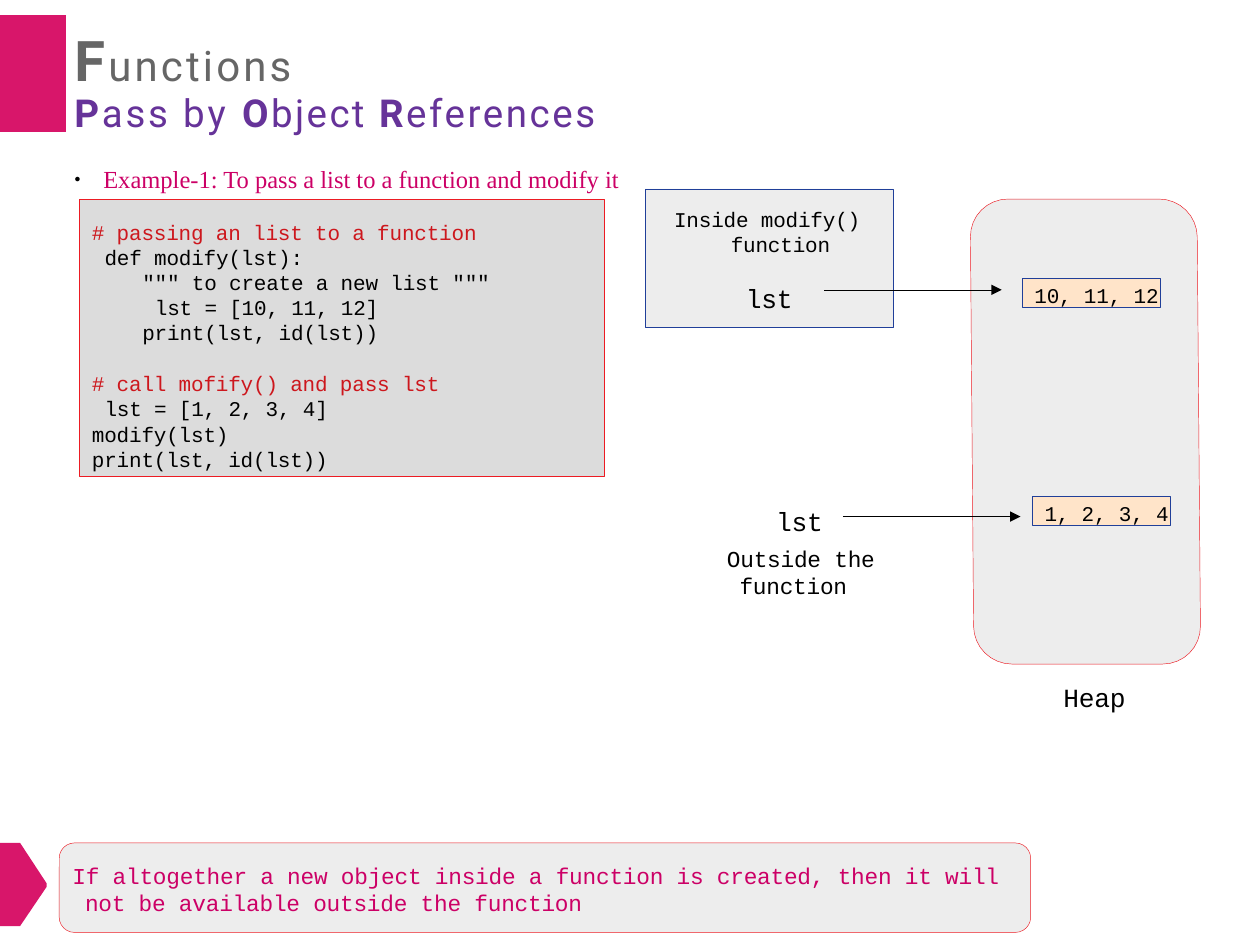
from dataclasses import dataclass
from math import cos, pi, sin

from lxml.etree import SubElement
from pptx import Presentation
from pptx.dml.color import RGBColor
from pptx.enum.shapes import MSO_CONNECTOR, MSO_SHAPE
from pptx.enum.text import MSO_ANCHOR, MSO_AUTO_SIZE, PP_ALIGN
from pptx.oxml.ns import qn
from pptx.util import Inches, Pt


@dataclass(frozen=True)
class Theme:
    """Colours, fonts and type sizes of the slide."""
    accent: str = "D8166A"
    heading: str = "666666"
    topic: str = "663399"
    emphasis: str = "CC0066"
    comment: str = "CD171D"
    ink: str = "000000"
    code_fill: str = "DCDCDC"
    panel: str = "EDEDED"
    value_fill: str = "FFE4C9"
    red: str = "EC1B23"
    blue: str = "203F99"
    display: str = "Roboto"
    serif: str = "Times New Roman"
    mono: str = "Courier New"
    initial_size: float = 32
    heading_size: float = 24
    topic_size: float = 22
    example_size: float = 14
    code_size: float = 12
    note_size: float = 13
    name_size: float = 15
    hairline: float = 0.25


THEME = Theme()


def paint(shape, fill, line=None):
    """Give a shape its fill and hairline, without shadow."""
    shape.shadow.inherit = False
    shape.fill.solid()
    shape.fill.fore_color.rgb = RGBColor.from_string(fill)
    if line:
        shape.line.color.rgb = RGBColor.from_string(line)
        shape.line.width = Pt(THEME.hairline)
    else:
        shape.line.fill.background()
    return shape


def panel(slide, kind, box, fill, line):
    """Add a painted preset shape in a box."""
    return paint(slide.shapes.add_shape(kind, *map(Inches, box)), fill, line)


def outline(slide, points, fill, line=None):
    """Add a closed painted freeform through points in inches."""
    corners = [(Inches(x), Inches(y)) for x, y in points]
    builder = slide.shapes.build_freeform(*corners[0])
    builder.add_line_segments(corners[1:])
    return paint(builder.convert_to_shape(), fill, line)


def prepare(shape, left=0, top=0.02, anchor=MSO_ANCHOR.TOP):
    """Set the insets and wrapping of a shape and return its text frame."""
    frame = shape.text_frame
    frame.word_wrap = True
    frame.auto_size = MSO_AUTO_SIZE.NONE
    frame.vertical_anchor = anchor
    frame.margin_left, frame.margin_top = Inches(left), Inches(top)
    frame.margin_right = frame.margin_bottom = 0
    return frame


def style(paragraph, font, size, color, indent=0):
    """Set the left alignment, indent and common font of a paragraph."""
    paragraph.alignment = PP_ALIGN.LEFT
    paragraph._p.get_or_add_pPr().set("marL", str(Inches(indent)))
    paragraph.font.name = font
    paragraph.font.size = Pt(size)
    paragraph.font.color.rgb = RGBColor.from_string(color)


def add_run(paragraph, text, tracking=0.0):
    """Append a run with letter spacing in points."""
    run = paragraph.add_run()
    run.text = text
    run._r.get_or_add_rPr().set("spc", str(round(tracking * 100)))
    return run


def write_mono(frame, lines, size, color=THEME.ink):
    """Write (text, indent) lines in the code font."""
    for number, (text, indent) in enumerate(lines):
        paragraph = frame.add_paragraph() if number else frame.paragraphs[0]
        style(paragraph, THEME.mono, size, color, indent)
        add_run(paragraph, text, -0.1)


def add_label(slide, box, lines, size):
    """Add a text box with lines in the code font."""
    label = slide.shapes.add_textbox(*map(Inches, box))
    write_mono(prepare(label), lines, size)


def write_initials(paragraph, parts, initial_size=None):
    """Write (text, tracking) parts with single capitals in bold."""
    for text, tracking in parts:
        run = add_run(paragraph, text, tracking)
        run.font.bold = len(text) == 1
        if initial_size and len(text) == 1:
            run.font.size = Pt(initial_size)


def add_header(slide, left, top):
    """Place the title, the topic and the accent block beside them."""
    block_right, block_bottom = left + 0.52, top + 0.93
    outline(slide, [(left, top), (block_right, top), (block_right, block_bottom),
                    (left, block_bottom)], THEME.accent)
    title = slide.shapes.title
    title.left, title.top = Inches(left + 0.59), Inches(top + 0.06)
    title.width, title.height = Inches(4), Inches(0.56)
    heading = prepare(title).paragraphs[0]
    style(heading, THEME.display, THEME.heading_size, THEME.heading)
    write_initials(heading, [("F", 1.8), ("unctions", 1.8)], THEME.initial_size)
    topic = slide.shapes.add_textbox(
        Inches(left + 0.59), Inches(top + 0.57), Inches(4.4), Inches(0.39))
    subject = prepare(topic).paragraphs[0]
    style(subject, THEME.display, THEME.topic_size, THEME.topic)
    write_initials(subject, [("P", 1.6), ("ass ", 1.6), ("by ", 1.9), ("O", 1.4),
                             ("bject ", 1.4), ("R", 1.5), ("eferences", 1.5)])


def add_example(slide, left, top, width):
    """Place the bulleted example heading."""
    example = slide.shapes.add_textbox(*map(Inches, (left, top, width, 0.26)))
    paragraph = prepare(example).paragraphs[0]
    properties = paragraph._p.get_or_add_pPr()
    SubElement(properties, qn("a:buClr")).append(
        properties.makeelement(qn("a:srgbClr"), {"val": THEME.ink}))
    SubElement(properties, qn("a:buSzPct"), val="43000")
    SubElement(properties, qn("a:buFont"), typeface="Arial")
    SubElement(properties, qn("a:buChar"), char="●")
    style(paragraph, THEME.serif, THEME.example_size, THEME.emphasis, 0.23)
    properties.set("indent", str(Inches(-0.23)))
    add_run(paragraph, "Example-1: To pass a list to a function and modify it")


def add_code(slide, box):
    """Place the program listing in its box."""
    listing = panel(slide, MSO_SHAPE.RECTANGLE, box, THEME.code_fill, THEME.red)
    frame = prepare(listing, top=0.16)
    write_mono(frame, [
        ("# passing an list to a function", 0.1),
        ("def modify(lst):", 0.2),
        ('""" to create a new list """', 0.5),
        ("lst = [10, 11, 12]", 0.6),
        ("print(lst, id(lst))", 0.5),
        ("# call mofify() and pass lst", 0.1),
        ("lst = [1, 2, 3, 4]", 0.2),
        ("modify(lst)", 0.1),
        ("print(lst, id(lst))", 0.1),
    ], THEME.code_size)
    for paragraph in frame.paragraphs:
        paragraph.line_spacing = Pt(14.4)
        if paragraph.text.startswith("#"):
            paragraph.font.color.rgb = RGBColor.from_string(THEME.comment)
    frame.paragraphs[5].space_before = Pt(14.6)


def add_heap(slide, left, top, width, height):
    """Place the slightly slanted rounded heap area and its name."""
    radius, slant, steps = 0.3, 0.03, 8
    centres = [(width - radius, height - radius), (radius, height - radius),
               (radius, radius), (width - radius, radius)]
    points = []
    for quarter, (x, y) in enumerate(centres):
        for step in range(steps + 1):
            angle = (quarter + step / steps) * pi / 2
            down = y + radius * sin(angle)
            points.append((left + x + radius * cos(angle) + slant * down / height, top + down))
    outline(slide, points, THEME.panel, THEME.red)
    add_label(slide, (left + 0.74, top + height + 0.12, 0.8, 0.28), [("Heap", 0)], THEME.name_size)


def add_reference(slide, start, end, value, value_left, value_top):
    """Place an arrow from a name to its boxed value."""
    arrow = slide.shapes.add_connector(MSO_CONNECTOR.STRAIGHT, *map(Inches, start + end))
    arrow.line.color.rgb = RGBColor.from_string(THEME.ink)
    arrow.line.width = Pt(THEME.hairline)
    SubElement(arrow.line._get_or_add_ln(), qn("a:tailEnd"), type="triangle")
    SubElement(arrow._element.spPr, qn("a:effectLst"))
    cell = panel(slide, MSO_SHAPE.RECTANGLE, (value_left, value_top, 1.1, 0.23),
                 THEME.value_fill, THEME.blue)
    write_mono(prepare(cell, top=0.03), [(value, 0.1)], THEME.code_size)


def add_scopes(slide, left, top):
    """Place the names inside and outside the function with their references."""
    panel(slide, MSO_SHAPE.RECTANGLE, (left, top, 1.97, 1.1), THEME.panel, THEME.blue)
    add_label(slide, (left + 0.22, top + 0.12, 1.7, 0.43),
              [("Inside modify()", 0.01), ("function", 0.46)], THEME.code_size)
    for x, y in ((0.8, 0.72), (1.04, 2.49)):
        add_label(slide, (left + x, top + y, 0.6, 0.28), [("lst", 0)], THEME.name_size)
    add_label(slide, (left + 0.64, top + 2.8, 1.4, 0.46),
              [("Outside the", 0.01), ("function", 0.11)], THEME.note_size)
    for x, y, value, value_x, value_y in ((1.42, 0.8, "10, 11, 12", 2.99, 0.71),
                                          (1.57, 2.6, "1, 2, 3, 4", 3.07, 2.44)):
        add_reference(slide, (left + x, top + y), (left + x + 1.41, top + y),
                      value, left + value_x, top + value_y)


def add_conclusion(slide, left, top, width, height):
    """Place the pointer and the rounded conclusion bar."""
    outline(slide, [(left, top), (left + 0.16, top), (left + 0.37, top + 0.32),
                    (left + 0.37, top + 0.35), (left + 0.16, top + 0.66),
                    (left, top + 0.66)], THEME.accent)
    bar = panel(slide, MSO_SHAPE.ROUNDED_RECTANGLE, (left + 0.47, top, width - 0.47, height),
                THEME.panel, THEME.red)
    bar.adjustments[0] = 0.17
    frame = prepare(bar, left=0.06, anchor=MSO_ANCHOR.MIDDLE)
    write_mono(frame, [
        ("If altogether a new object inside a function is created, then it will", 0.01),
        ("not be available outside the function", 0.11),
    ], THEME.note_size, THEME.emphasis)


def main():
    """Build and save the slide."""
    deck = Presentation()
    deck.slide_width, deck.slide_height = Inches(10), Inches(7.5)
    slide = deck.slides.add_slide(deck.slide_layouts[5])
    add_header(slide, 0, 0.12)
    add_example(slide, 0.59, 1.28, 4.5)
    add_code(slide, (0.63, 1.58, 4.17, 2.2))
    add_heap(slide, 7.7, 1.58, 1.8, 3.69)
    add_scopes(slide, 5.12, 1.5)
    add_conclusion(slide, 0, 6.69, 8.18, 0.71)
    deck.save("out.pptx")


if __name__ == "__main__":
    main()
